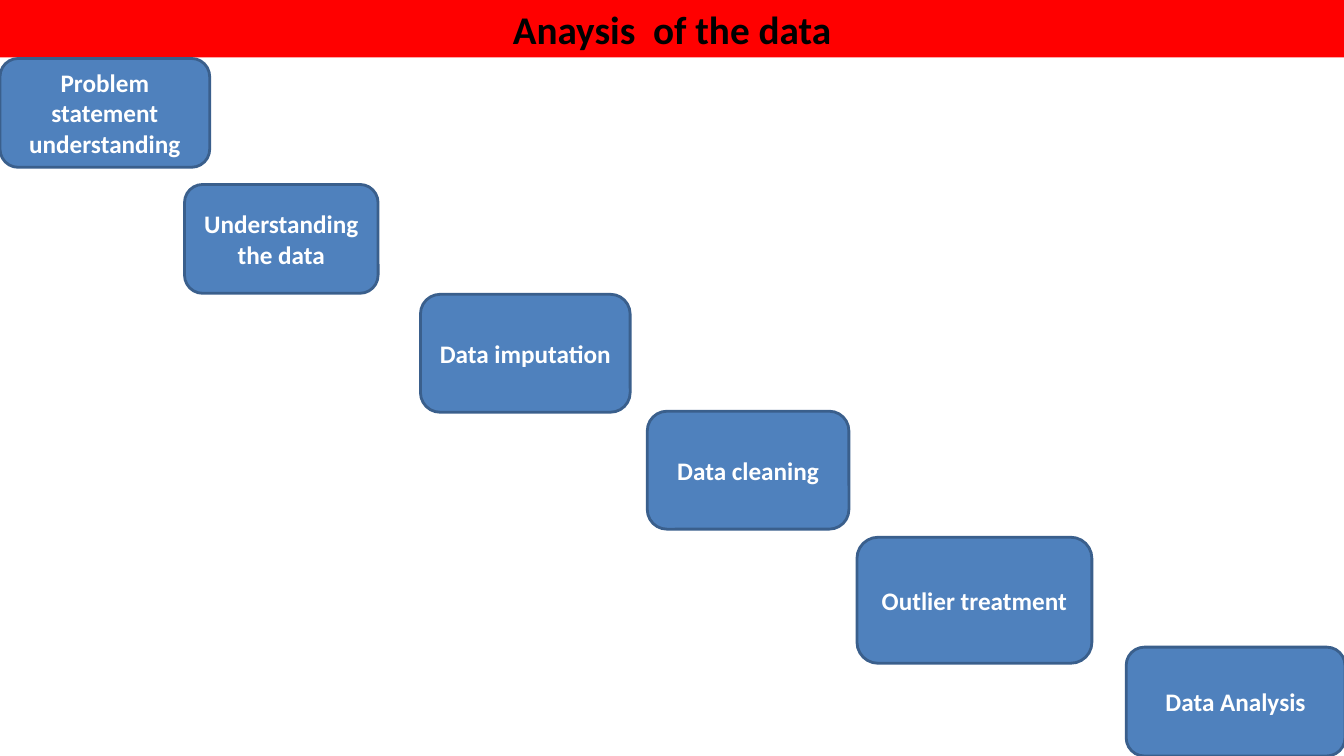
from pptx import Presentation
from pptx.dml.color import RGBColor
from pptx.enum.shapes import MSO_SHAPE as Shape
from pptx.enum.text import MSO_ANCHOR as Anchor, PP_ALIGN as Align
from pptx.util import Inches, Pt

RED = RGBColor(0xFF, 0x00, 0x00)
BLUE = RGBColor(0x4F, 0x81, 0xBD)
DARK_BLUE = RGBColor(0x3A, 0x5F, 0x8C)
BLACK = RGBColor(0x00, 0x00, 0x00)
WHITE = RGBColor(0xFF, 0xFF, 0xFF)

SLIDE_WIDTH, SLIDE_HEIGHT = 13.33, 7.5

# Label and box (left, top, width, height) of each step, in inches
STEPS = [
    ("Problem statement understanding", (0, 0.58, 2.08, 1.08)),
    ("Understanding the data", (1.83, 1.83, 1.92, 1.08)),
    ("Data imputation", (4.17, 2.92, 2.08, 1.17)),
    ("Data cleaning", (6.42, 4.08, 2, 1.17)),
    ("Outlier treatment", (8.5, 5.33, 2.33, 1.25)),
    ("Data Analysis", (11.17, 6.42, 2.17, 1.08)),
]


def write_text(shape, text, size, color, anchor=Anchor.MIDDLE, bold=True):
    frame = shape.text_frame
    frame.word_wrap = True
    frame.vertical_anchor = anchor
    paragraph = frame.paragraphs[0]
    paragraph.alignment = Align.CENTER
    run = paragraph.add_run()
    run.text = text
    run.font.name = "Calibri"
    run.font.size = Pt(size)
    run.font.bold = bold
    run.font.color.rgb = color


def add_filled_shape(slide, kind, box, fill):
    shape = slide.shapes.add_shape(kind, *(Inches(length) for length in box))
    shape.shadow.inherit = False
    shape.fill.solid()
    shape.fill.fore_color.rgb = fill
    return shape


def add_title_bar(slide, box):
    bar = add_filled_shape(slide, Shape.RECTANGLE, box, RED)
    bar.line.fill.background()
    write_text(bar, "Anaysis  of the data", size=28, color=BLACK, anchor=Anchor.TOP)


def add_step(slide, label, box):
    step = add_filled_shape(slide, Shape.ROUNDED_RECTANGLE, box, BLUE)
    step.line.color.rgb = DARK_BLUE
    step.line.width = Pt(2)
    write_text(step, label, size=18, color=WHITE)


def main():
    presentation = Presentation()
    presentation.slide_width = Inches(SLIDE_WIDTH)
    presentation.slide_height = Inches(SLIDE_HEIGHT)
    slide = presentation.slides.add_slide(presentation.slide_layouts[6])

    # Title across the top
    add_title_bar(slide, (0, 0, SLIDE_WIDTH, 0.57))

    # Staircase of steps
    for label, box in STEPS:
        add_step(slide, label, box)

    presentation.save("out.pptx")


if __name__ == "__main__":
    main()
